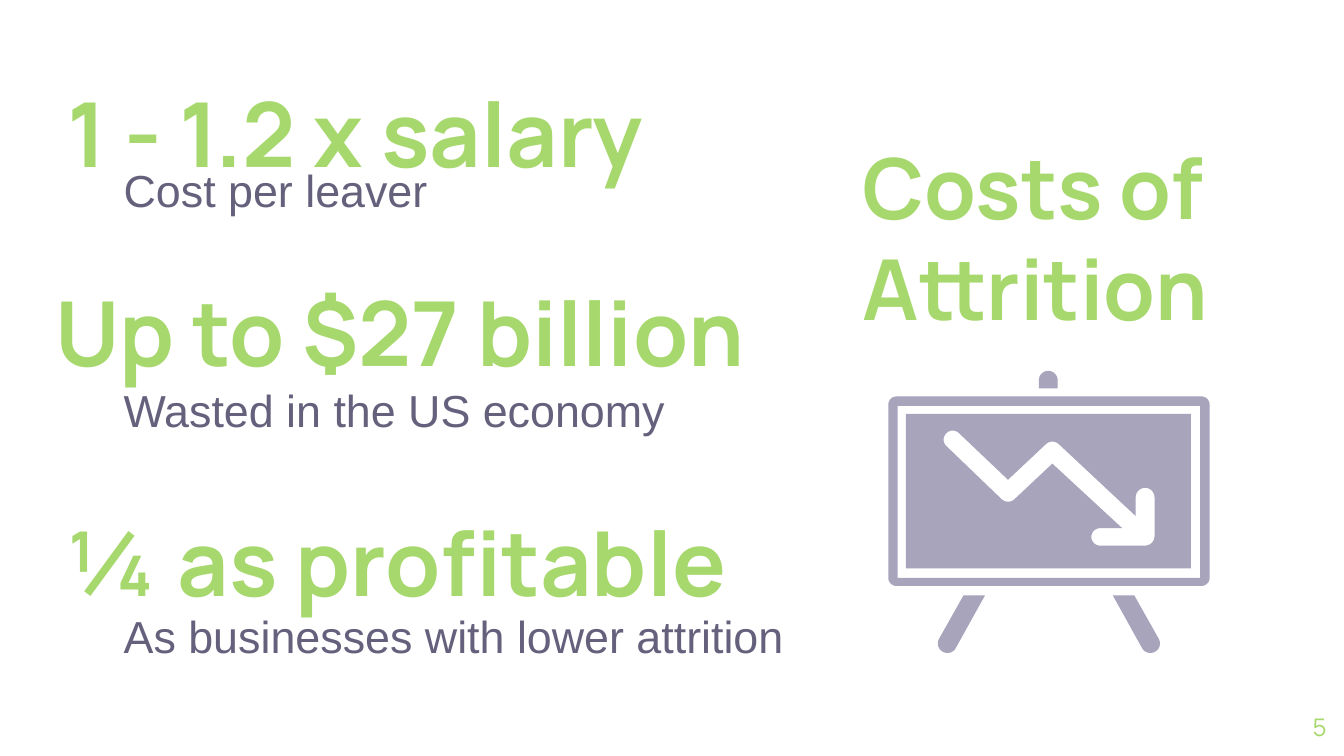
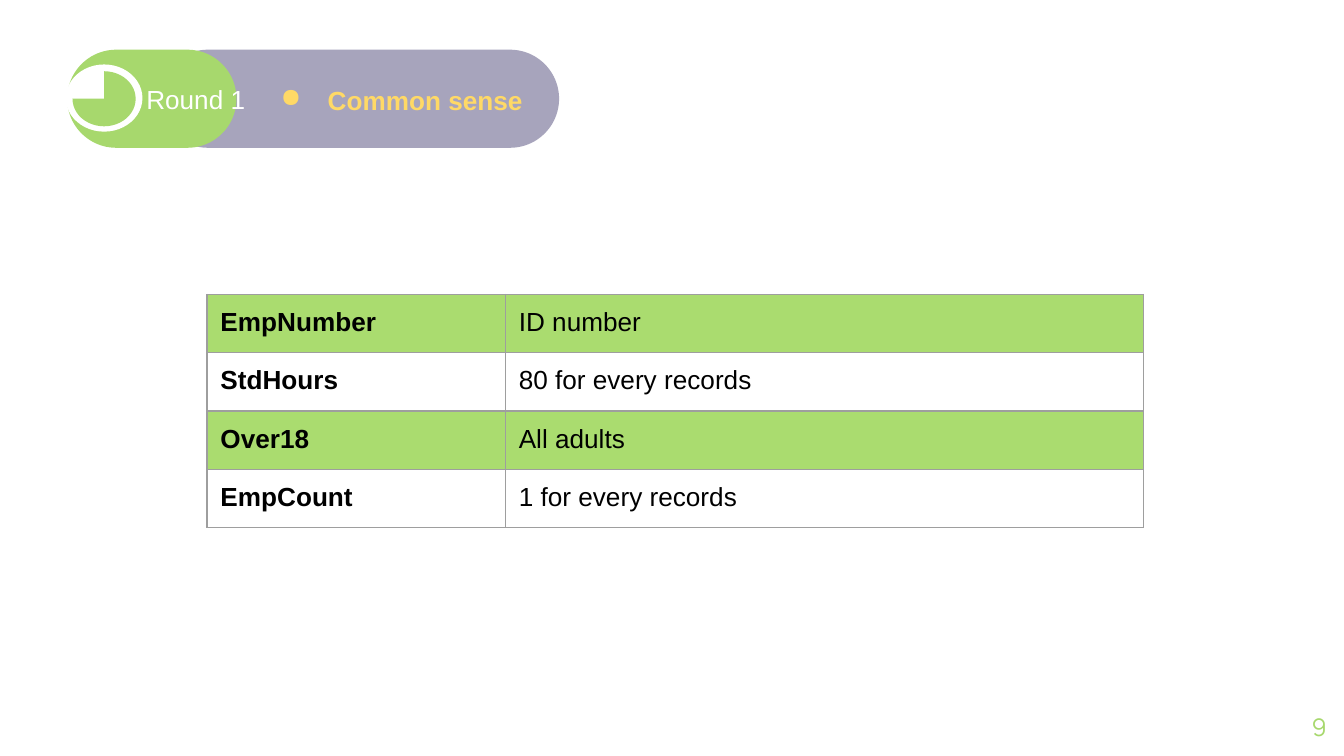
from dataclasses import dataclass
from math import atan2, cos, hypot, pi, remainder, sin, tan
from typing import NamedTuple

from lxml.etree import SubElement
from pptx import Presentation
from pptx.dml.color import RGBColor
from pptx.enum.shapes import MSO_SHAPE
from pptx.enum.text import MSO_ANCHOR, PP_ALIGN
from pptx.oxml.ns import qn
from pptx.presentation import Presentation as Deck
from pptx.shapes.autoshape import Shape
from pptx.slide import Slide
from pptx.table import _Cell
from pptx.text.text import TextFrame
from pptx.util import Emu, Inches, Pt

GREEN = RGBColor(0xA7, 0xD8, 0x6D)
ROW_GREEN = RGBColor(0xAA, 0xDC, 0x6F)
LAVENDER = RGBColor(0xA7, 0xA4, 0xBC)
SLATE = RGBColor(0x65, 0x61, 0x7D)
YELLOW = RGBColor(0xFF, 0xD9, 0x66)
BORDER_GREY = RGBColor(0x9E, 0x9E, 0x9E)
BLACK = RGBColor(0x00, 0x00, 0x00)
WHITE = RGBColor(0xFF, 0xFF, 0xFF)

DISPLAY_FONT = "Manrope"
BODY_FONT = "Arial"
SLIDE_WIDTH = Inches(10)
SLIDE_HEIGHT = Inches(5.625)
COLUMNS = 100
GRID_UNIT = SLIDE_WIDTH / COLUMNS
ARC_STEPS = 8


class Area(NamedTuple):
    column: float
    row: float
    columns: float
    rows: float


class Corner(NamedTuple):
    column: float
    row: float
    radius: float = 0


@dataclass(frozen=True)
class TextStyle:
    size: float
    color: RGBColor
    font: str = BODY_FONT
    bold: bool = False
    anchor: MSO_ANCHOR = MSO_ANCHOR.TOP
    align: PP_ALIGN = PP_ALIGN.LEFT
    inset: float = 0
    line_spacing: float | None = None
    space_before: float | None = None


@dataclass(frozen=True)
class Cost:
    figure: str
    figure_area: Area
    caption: str
    caption_area: Area


@dataclass(frozen=True)
class BadgePart:
    kind: MSO_SHAPE
    area: Area
    color: RGBColor
    adjustments: tuple[float, ...] = ()


PAGE_NUMBER = TextStyle(13, GREEN, DISPLAY_FONT, anchor=MSO_ANCHOR.MIDDLE, align=PP_ALIGN.RIGHT)
FIGURE = TextStyle(48, GREEN, DISPLAY_FONT, True, MSO_ANCHOR.BOTTOM)
TITLE = TextStyle(45, GREEN, DISPLAY_FONT, True, MSO_ANCHOR.BOTTOM)
CAPTION = TextStyle(24, SLATE, line_spacing=1.15, space_before=6)
ROUND_LABEL = TextStyle(14, WHITE, anchor=MSO_ANCHOR.MIDDLE, inset=1)
TOPIC = TextStyle(14, YELLOW, bold=True, anchor=MSO_ANCHOR.MIDDLE, inset=1, line_spacing=1.15)
FIELD_NAME = TextStyle(14, BLACK, bold=True, inset=1)
FIELD_REASON = TextStyle(14, BLACK, inset=1)

COSTS = (
    Cost("1 - 1.2 x salary", Area(5, 4, 52, 9.8),
         "Cost per leaver", Area(9.2, 11.5, 52, 5.1)),
    Cost("Up to $27 billion", Area(4.1, 18.8, 57.1, 9.8),
         "Wasted in the US economy", Area(9.2, 27.9, 52, 5.1)),
    Cost("¼ as profitable", Area(5, 35.9, 52, 9.8),
         "As businesses with lower attrition", Area(9.2, 44.7, 53.9, 5.1)),
)

BOARD_CENTER = 78.05
FALLING_ARROW = (
    Corner(70.9, 31.8, 0.65), Corner(75, 35.7), Corner(78.3, 32.6, 0.7),
    Corner(84.5, 38.4), Corner(84.5, 36.3, 0.7), Corner(85.9, 36.3, 0.7),
    Corner(85.9, 40.6, 0.7), Corner(81.2, 40.6, 0.65), Corner(81.2, 39.3, 0.65),
    Corner(83.5, 39.3), Corner(78.3, 34.5), Corner(75, 37.6, 0.7),
    Corner(69.9, 32.7, 0.65),
)
KNOB = (Corner(77.3, 27.6, 0.7), Corner(78.7, 27.6, 0.7), Corner(78.7, 28.9), Corner(77.3, 28.9))
LEFT_LEG = (Corner(71.7, 44.3), Corner(73.3, 44.3), Corner(70.8, 48.8, 0.7), Corner(69.5, 48.2, 0.7))

BADGE = (
    BadgePart(MSO_SHAPE.ROUNDED_RECTANGLE, Area(11.8, 3.7, 29.8, 7.3), LAVENDER, (0.5,)),
    BadgePart(MSO_SHAPE.ROUNDED_RECTANGLE, Area(5, 3.7, 12.6, 7.3), GREEN, (0.5,)),
    BadgePart(MSO_SHAPE.OVAL, Area(4.9, 4.8, 5.7, 5), WHITE),
    BadgePart(MSO_SHAPE.PIE, Area(5.4, 5.3, 4.7, 4.1), GREEN, (162, 108)),
)

DROPPED_FIELDS = (
    ("EmpNumber", "ID number"),
    ("StdHours", "80 for every records"),
    ("Over18", "All adults"),
    ("EmpCount", "1 for every records"),
)
FIELD_COLUMNS = (22.2, 47.5)
FIELD_ROWS = (4.3, 4.2)


def grid(units: float) -> Emu:
    return Emu(round(units * GRID_UNIT))


def place(area: Area) -> tuple[Emu, ...]:
    return tuple(grid(length) for length in area)


def write_text(text_frame: TextFrame, text: str, style: TextStyle) -> None:
    text_frame.text = text
    paragraph = text_frame.paragraphs[0]
    paragraph.alignment = style.align
    if style.line_spacing is not None:
        paragraph.line_spacing = style.line_spacing
    if style.space_before is not None:
        paragraph.space_before = Pt(style.space_before)
    for run in paragraph.runs:
        run.font.name = style.font
        run.font.size = Pt(style.size)
        run.font.bold = style.bold
        run.font.color.rgb = style.color


def add_text(slide: Slide, text: str, area: Area, style: TextStyle) -> Shape:
    shape = slide.shapes.add_textbox(*place(area))
    text_frame = shape.text_frame
    text_frame.word_wrap = True
    text_frame.vertical_anchor = style.anchor
    text_frame.margin_left = text_frame.margin_right = grid(style.inset)
    text_frame.margin_top = text_frame.margin_bottom = grid(style.inset)
    write_text(text_frame, text, style)
    return shape


def paint(shape: Shape, color: RGBColor) -> None:
    shape.shadow.inherit = False
    shape.fill.solid()
    shape.fill.fore_color.rgb = color
    shape.line.fill.background()


def rectangle(area: Area, radius: float = 0) -> tuple[Corner, ...]:
    left, top, columns, rows = area
    right, bottom = left + columns, top + rows
    return tuple(Corner(x, y, radius)
                 for x, y in ((left, top), (right, top), (right, bottom), (left, bottom)))


def mirror(corners: tuple[Corner, ...], axis: float) -> tuple[Corner, ...]:
    return tuple(Corner(2 * axis - corner.column, corner.row, corner.radius) for corner in corners)


def round_corner(before: Corner, corner: Corner, after: Corner) -> list[tuple[float, float]]:
    x, y, radius = corner
    if not radius:
        return [(x, y)]
    arriving = atan2(y - before.row, x - before.column)
    leaving = atan2(after.row - y, after.column - x)
    turn = remainder(leaving - arriving, 2 * pi)
    side = 1 if turn > 0 else -1
    tangent = radius * tan(abs(turn) / 2)
    normal = arriving + side * pi / 2
    center_x = x - tangent * cos(arriving) + radius * cos(normal)
    center_y = y - tangent * sin(arriving) + radius * sin(normal)
    angles = [normal + pi + turn * step / ARC_STEPS for step in range(ARC_STEPS + 1)]
    return [(center_x + radius * cos(angle), center_y + radius * sin(angle)) for angle in angles]


def outline(corners: tuple[Corner, ...]) -> list[tuple[Emu, Emu]]:
    following = corners[1:] + corners[:1]
    preceding = corners[-1:] + corners[:-1]
    return [(grid(x), grid(y))
            for before, corner, after in zip(preceding, corners, following)
            for x, y in round_corner(before, corner, after)]


def add_outline(slide: Slide, color: RGBColor, *contours: tuple[Corner, ...]) -> None:
    first, *holes = [outline(contour) for contour in contours]
    builder = slide.shapes.build_freeform(*first[0])
    builder.add_line_segments(first[1:], close=True)
    for hole in holes:
        builder.move_to(*hole[0])
        builder.add_line_segments(hole[1:], close=True)
    paint(builder.convert_to_shape(), color)


def add_bullet(shape: Shape, color: RGBColor) -> None:
    properties = shape.text_frame.paragraphs[0]._p.get_or_add_pPr()
    properties.set("marL", str(grid(5)))
    properties.set("indent", str(grid(-3.5)))
    bullet_color = SubElement(properties, qn("a:buClr"))
    SubElement(bullet_color, qn("a:srgbClr"), val=str(color))
    SubElement(properties, qn("a:buChar"), char="●")


def add_borders(cell: _Cell) -> None:
    properties = cell._tc.get_or_add_tcPr()
    for side in ("a:lnL", "a:lnR", "a:lnT", "a:lnB"):
        line = SubElement(properties, qn(side), w=str(Pt(0.75)))
        fill = SubElement(line, qn("a:solidFill"))
        SubElement(fill, qn("a:srgbClr"), val=str(BORDER_GREY))


def add_numbered_slide(presentation: Deck, number: int) -> Slide:
    slide = presentation.slides.add_slide(presentation.slide_layouts[6])
    slide.background.fill.solid()
    slide.background.fill.fore_color.rgb = WHITE
    add_text(slide, str(number), Area(92.7, 51.9, 6, 4.3), PAGE_NUMBER)
    return slide


def draw_board(slide: Slide) -> None:
    add_outline(slide, LAVENDER, rectangle(Area(66.1, 29.5, 23.9, 14.1), 0.6),
                rectangle(Area(66.8, 30.2, 22.5, 12.8)))
    add_outline(slide, LAVENDER, KNOB)
    add_outline(slide, LAVENDER, LEFT_LEG)
    add_outline(slide, LAVENDER, mirror(LEFT_LEG, BOARD_CENTER))
    add_outline(slide, LAVENDER, rectangle(Area(67.4, 30.8, 21.2, 11.5)), FALLING_ARROW)


def draw_costs(presentation: Deck) -> None:
    slide = add_numbered_slide(presentation, 5)
    for cost in COSTS:
        add_text(slide, cost.figure, cost.figure_area, FIGURE)
        add_text(slide, cost.caption, cost.caption_area, CAPTION)
    add_text(slide, "Costs of Attrition", Area(64.2, 5.7, 30.6, 19.4), TITLE)
    draw_board(slide)


def draw_field_table(slide: Slide) -> None:
    heights = [FIELD_ROWS[index % 2] for index in range(len(DROPPED_FIELDS))]
    area = Area(15.4, 21.9, sum(FIELD_COLUMNS), sum(heights))
    table = slide.shapes.add_table(len(heights), len(FIELD_COLUMNS), *place(area)).table
    table.first_row = table.horz_banding = False
    for column, width in zip(table.columns, FIELD_COLUMNS):
        column.width = grid(width)
    for index, texts in enumerate(DROPPED_FIELDS):
        table.rows[index].height = grid(heights[index])
        for cell, text, style in zip(table.rows[index].cells, texts, (FIELD_NAME, FIELD_REASON)):
            cell.margin_left = cell.margin_right = grid(style.inset)
            cell.margin_top = cell.margin_bottom = grid(style.inset)
            write_text(cell.text_frame, text, style)
            add_borders(cell)
            if index % 2:
                cell.fill.background()
            else:
                cell.fill.solid()
                cell.fill.fore_color.rgb = ROW_GREEN


def draw_round(presentation: Deck) -> None:
    slide = add_numbered_slide(presentation, 9)
    draw_field_table(slide)
    for part in BADGE:
        shape = slide.shapes.add_shape(part.kind, *place(part.area))
        for index, adjustment in enumerate(part.adjustments):
            shape.adjustments[index] = adjustment
        paint(shape, part.color)
    add_bullet(add_text(slide, "Common sense", Area(18.4, 4.1, 25.3, 6.3), TOPIC), YELLOW)
    add_text(slide, "Round 1", Area(9.9, 5.5, 10.3, 3.8), ROUND_LABEL)


def main() -> None:
    presentation = Presentation()
    presentation.slide_width = SLIDE_WIDTH
    presentation.slide_height = SLIDE_HEIGHT
    draw_costs(presentation)
    draw_round(presentation)
    presentation.save("out.pptx")


if __name__ == "__main__":
    main()
